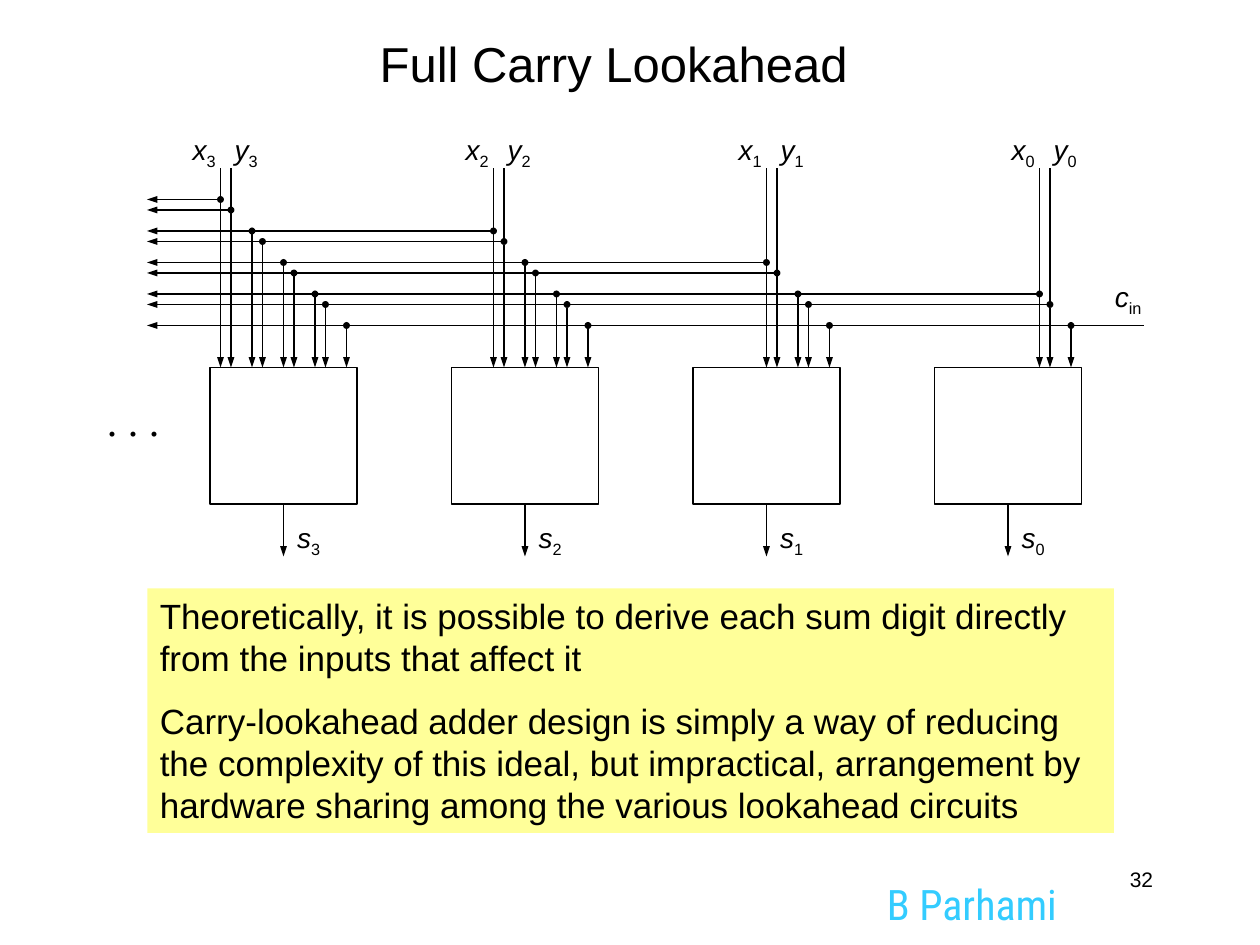
from lxml import etree
from pptx import Presentation
from pptx.dml.color import RGBColor
from pptx.enum.shapes import MSO_CONNECTOR, MSO_SHAPE
from pptx.enum.text import MSO_ANCHOR, PP_ALIGN
from pptx.oxml.ns import qn
from pptx.util import Inches, Pt

STRAIGHT = MSO_CONNECTOR.STRAIGHT
RECTANGLE = MSO_SHAPE.RECTANGLE
LEFT, CENTER, RIGHT = PP_ALIGN.LEFT, PP_ALIGN.CENTER, PP_ALIGN.RIGHT
TOP, MIDDLE = MSO_ANCHOR.TOP, MSO_ANCHOR.MIDDLE

BLACK = RGBColor(0x00, 0x00, 0x00)
WHITE = RGBColor(0xFF, 0xFF, 0xFF)
YELLOW = RGBColor(0xFF, 0xFF, 0x99)
SKY = RGBColor(0x33, 0xCC, 0xFF)

# The diagram lies on a grid of 1/12 inch
UNIT = Inches(1) // 12
DIGITS = 4
CELL_LEFT, CELL_STEP, CELL_WIDTH = 20, 23, 14
CELL_TOP, CELL_BOTTOM = 35, 48
INPUT_LEFT, INPUT_STEP, INPUT_TOP = 21, 26, 16
BUS_LEFT, BUS_TOP, BUS_STEP = 14, 19, 3
CARRY_ROW, CARRY_RIGHT = 31, 109
SUM_END = 53

# Length of each kind of line end; all are narrow
END_LENGTHS = {"triangle": "med", "oval": "sm"}

NOTES = (
    "Theoretically, it is possible to derive each sum digit directly "
    "from the inputs that affect it",
    "Carry-lookahead adder design is simply a way of reducing the complexity "
    "of this ideal, but impractical, arrangement by hardware sharing among "
    "the various lookahead circuits",
)


def add_run(paragraph, text, size, color=BLACK, font="Arial", italic=False):
    run = paragraph.add_run()
    run.text = text
    run.font.size = Pt(size)
    run.font.name = font
    run.font.italic = italic
    run.font.color.rgb = color
    return run


def add_text_box(slide, left, top, width, height, wrap=True):
    """Adds a text box, in inches, and returns its first paragraph."""
    box = slide.shapes.add_textbox(Inches(left), Inches(top), Inches(width), Inches(height))
    box.text_frame.word_wrap = wrap
    return box.text_frame.paragraphs[0]


def add_label(slide, left, top, letter, subscript, width=0.38, wrap=False):
    """Adds an italic letter with an upright subscript."""
    paragraph = add_text_box(slide, left, top, width, 0.41, wrap)
    add_run(paragraph, letter, 16, italic=True)
    lowered = add_run(paragraph, subscript, 16)
    lowered.font._element.set("baseline", "-25000")


def add_rectangle(slide, left, top, width, height, fill):
    shape = slide.shapes.add_shape(RECTANGLE, left, top, width, height)
    shape.shadow.inherit = False
    shape.fill.solid()
    shape.fill.fore_color.rgb = fill
    shape.line.fill.background()
    return shape


def add_wire(slide, start, end, head=None, tail=None):
    """Joins two (column, row) points of the grid."""
    wire = slide.shapes.add_connector(STRAIGHT, *(UNIT * value for value in start + end))
    wire.line.color.rgb = BLACK
    wire.line.width = Pt(0.75)
    line = wire.line._get_or_add_ln()
    for tag, kind in (("a:headEnd", head), ("a:tailEnd", tail)):
        if kind:
            etree.SubElement(line, qn(tag), type=kind, w="sm", len=END_LENGTHS[kind])
    etree.SubElement(wire._element.spPr, qn("a:effectLst"))
    return wire


def add_cells(slide):
    cells = []
    for index in range(DIGITS):
        cell = add_rectangle(
            slide, UNIT * (CELL_LEFT + CELL_STEP * index), UNIT * CELL_TOP,
            UNIT * CELL_WIDTH, UNIT * (CELL_BOTTOM - CELL_TOP), WHITE)
        cell.line.color.rgb = BLACK
        cell.line.width = Pt(0.75)
        cells.append(cell)
    return cells


def add_tap(slide, cells, index, offset, row):
    """Drops a wire from a bus row into a cell."""
    column = CELL_LEFT + CELL_STEP * index + offset
    tap = add_wire(slide, (column, row), (column, CELL_TOP), "oval", "triangle")
    if offset == CELL_WIDTH // 2:
        tap.end_connect(cells[index], 0)


def add_inputs(slide, cells):
    for index in range(DIGITS):
        for lane, (letter, shift) in enumerate((("x", -0.32), ("y", -0.07))):
            column = INPUT_LEFT + INPUT_STEP * index + lane
            row = BUS_TOP + BUS_STEP * index + lane
            add_wire(slide, (BUS_LEFT, row), (column, row), "triangle")
            add_wire(slide, (column, row), (column, INPUT_TOP))
            # Each input reaches its own cell and all more significant ones
            for target in range(index + 1):
                add_tap(slide, cells, target, 1 + BUS_STEP * index + lane, row)
            add_label(slide, column / 12 + shift, 1, letter, str(DIGITS - 1 - index))


def add_carry(slide, cells):
    add_wire(slide, (BUS_LEFT, CARRY_ROW), (CARRY_RIGHT, CARRY_ROW), "triangle")
    for index in range(DIGITS):
        add_tap(slide, cells, index, CELL_WIDTH - 1, CARRY_ROW)
    add_label(slide, 8.75, 2.17, "c", "in", width=0.43, wrap=True)


def add_sums(slide, cells):
    for index, cell in enumerate(cells):
        column = CELL_LEFT + CELL_STEP * index + CELL_WIDTH // 2
        output = add_wire(slide, (column, CELL_BOTTOM), (column, SUM_END), tail="triangle")
        output.begin_connect(cell, 2)
        add_label(slide, column / 12 + 0.01, 4.08, "s", str(DIGITS - 1 - index))


def add_title(slide):
    title = slide.shapes.title
    title.left, title.top = Inches(0.33), 0
    title.width, title.height = Inches(9.08), Inches(1)
    title.text_frame.vertical_anchor = MIDDLE
    paragraph = title.text_frame.paragraphs[0]
    paragraph.alignment = CENTER
    add_run(paragraph, "Full Carry Lookahead", 28)


def add_notes_panel(slide):
    panel = add_rectangle(slide, Inches(1.17), Inches(4.67), Inches(7.67), Inches(1.94), YELLOW)
    frame = panel.text_frame
    frame.word_wrap = True
    frame.vertical_anchor = TOP
    for index, text in enumerate(NOTES):
        paragraph = frame.add_paragraph() if index else frame.paragraphs[0]
        paragraph.alignment = LEFT
        if index:
            paragraph.space_before = Pt(12)
        add_run(paragraph, text, 20)


def main():
    presentation = Presentation()
    presentation.slide_width, presentation.slide_height = Inches(10), Inches(7.5)
    slide = presentation.slides.add_slide(presentation.slide_layouts[5])

    # Title and explanation
    add_title(slide)
    add_notes_panel(slide)

    # Adder diagram
    cells = add_cells(slide)
    add_carry(slide, cells)
    add_inputs(slide, cells)
    add_sums(slide, cells)
    add_run(add_text_box(slide, 0.75, 3.08, 0.8, 0.5), ". . .", 24, font="Times New Roman")

    # Author and page number
    add_run(add_text_box(slide, 6.94, 6.92, 1.7, 0.42), "B Parhami", 24, SKY, "Roboto Condensed")
    page_number = add_text_box(slide, 7.17, 6.83, 2.08, 0.5)
    page_number.alignment = RIGHT
    add_run(page_number, "32", 12)

    presentation.save("out.pptx")


if __name__ == "__main__":
    main()
